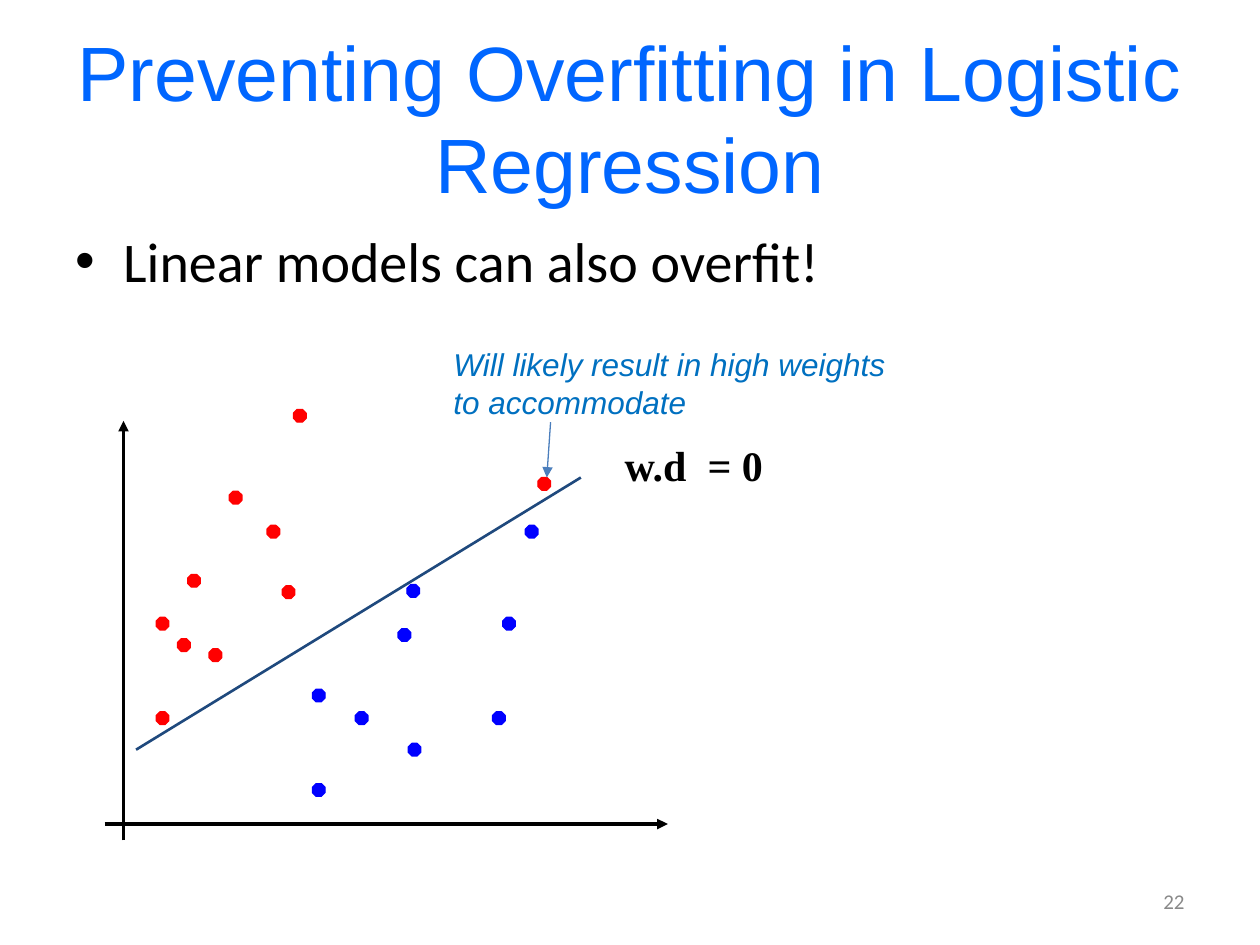
from lxml.etree import SubElement
from pptx import Presentation
from pptx.dml.color import RGBColor
from pptx.enum.shapes import MSO_CONNECTOR as Connector, MSO_SHAPE as Shape
from pptx.enum.text import MSO_ANCHOR as Anchor, PP_ALIGN as Align
from pptx.oxml.ns import qn
from pptx.util import Inches, Pt

COLORS = {
    "title": "0066FF",
    "text": "000000",
    "number": "898989",
    "note": "0070C0",
    "pointer": "4B7EBC",
    "boundary": "1F497D",
    "red": "FF0000",
    "blue": "0000FF",
}
DOT_SIZE = 0.1

# Left and top of each data point, by class
POINTS = {
    "red": [(2.12, 4.17), (1.49, 4.56), (1.66, 5.15), (1.24, 5.65), (1.82, 3.9),
            (1.24, 4.9), (1.41, 5.07), (2.24, 4.65), (2.33, 3.25), (4.27, 3.79)],
    "blue": [(3.23, 4.64), (2.82, 5.65), (3.91, 5.65), (2.48, 6.22), (3.16, 4.99),
             (2.48, 5.47), (3.24, 5.9), (3.99, 4.9), (4.17, 4.17)],
}


def rgb(name):
    return RGBColor.from_string(COLORS[name])


def add_text(page, area, text, font, size, color, align=Align.LEFT,
             anchor=Anchor.TOP, wrap=True, bold=False, italic=False):
    box = page.shapes.add_textbox(*map(Inches, area))
    frame = box.text_frame
    frame.word_wrap = wrap
    frame.vertical_anchor = anchor
    frame.text = text
    for para in frame.paragraphs:
        para.alignment = align
        for span in para.runs:
            span.font.name = font
            span.font.size = Pt(size)
            span.font.bold = bold
            span.font.italic = italic
            span.font.color.rgb = rgb(color)
    return box


def add_bullet(para, indent):
    properties = para._p.get_or_add_pPr()
    properties.set("marL", str(Inches(indent)))
    properties.set("indent", str(-Inches(indent)))
    SubElement(properties, qn("a:buFont")).set("typeface", "Arial")
    SubElement(properties, qn("a:buChar")).set("char", "•")


def add_line(page, start, end, color, width, arrow=False):
    line = page.shapes.add_connector(
        Connector.STRAIGHT, *map(Inches, start + end))
    line.line.color.rgb = rgb(color)
    line.line.width = Pt(width)
    if arrow:
        SubElement(line.line._get_or_add_ln(), qn("a:tailEnd")).set("type", "triangle")
    SubElement(line._element.spPr, qn("a:effectLst"))


def add_dot(page, left, top, color):
    dot = page.shapes.add_shape(
        Shape.OCTAGON, *map(Inches, (left, top, DOT_SIZE, DOT_SIZE)))
    dot.shadow.inherit = False
    dot.fill.solid()
    dot.fill.fore_color.rgb = rgb(color)
    dot.line.color.rgb = rgb(color)
    dot.line.width = Pt(0.75)


def main():
    deck = Presentation()
    deck.slide_width, deck.slide_height = Inches(10), Inches(7.5)
    page = deck.slides.add_slide(deck.slide_layouts[6])

    # Title, bullet and page number
    add_text(page, (0.5, 0.3, 9, 1.25),
             "Preventing Overfitting in Logistic Regression",
             "Arial", 44, "title", Align.CENTER, Anchor.MIDDLE)
    body = add_text(page, (0.5, 1.75, 9, 5.5), "Linear models can also overfit!",
                    "Calibri", 32, "text")
    add_bullet(body.text_frame.paragraphs[0], 0.38)
    add_text(page, (7.17, 6.95, 2.33, 0.4), "22", "Calibri", 12, "number",
             Align.RIGHT, Anchor.MIDDLE)

    # Axes
    add_line(page, (0.98, 6.67), (0.98, 3.34), "text", 2, arrow=True)
    add_line(page, (0.83, 6.54), (5.3, 6.54), "text", 2, arrow=True)

    # Decision boundary and data points
    add_line(page, (1.08, 5.95), (4.61, 3.79), "boundary", 1.5)
    for color, places in POINTS.items():
        for left, top in places:
            add_dot(page, left, top, color)
    add_text(page, (4.86, 3.44, 2.92, 0.5), "w.d  = 0",
             "Times New Roman", 24, "text", bold=True)

    # Note on the outlier
    add_line(page, (4.37, 3.35), (4.34, 3.79), "pointer", 0.75, arrow=True)
    add_text(page, (3.5, 2.69, 3.73, 0.71),
             "Will likely result in high weights\nto accommodate",
             "Arial", 18, "note", wrap=False, italic=True)

    deck.save("out.pptx")


if __name__ == "__main__":
    main()
